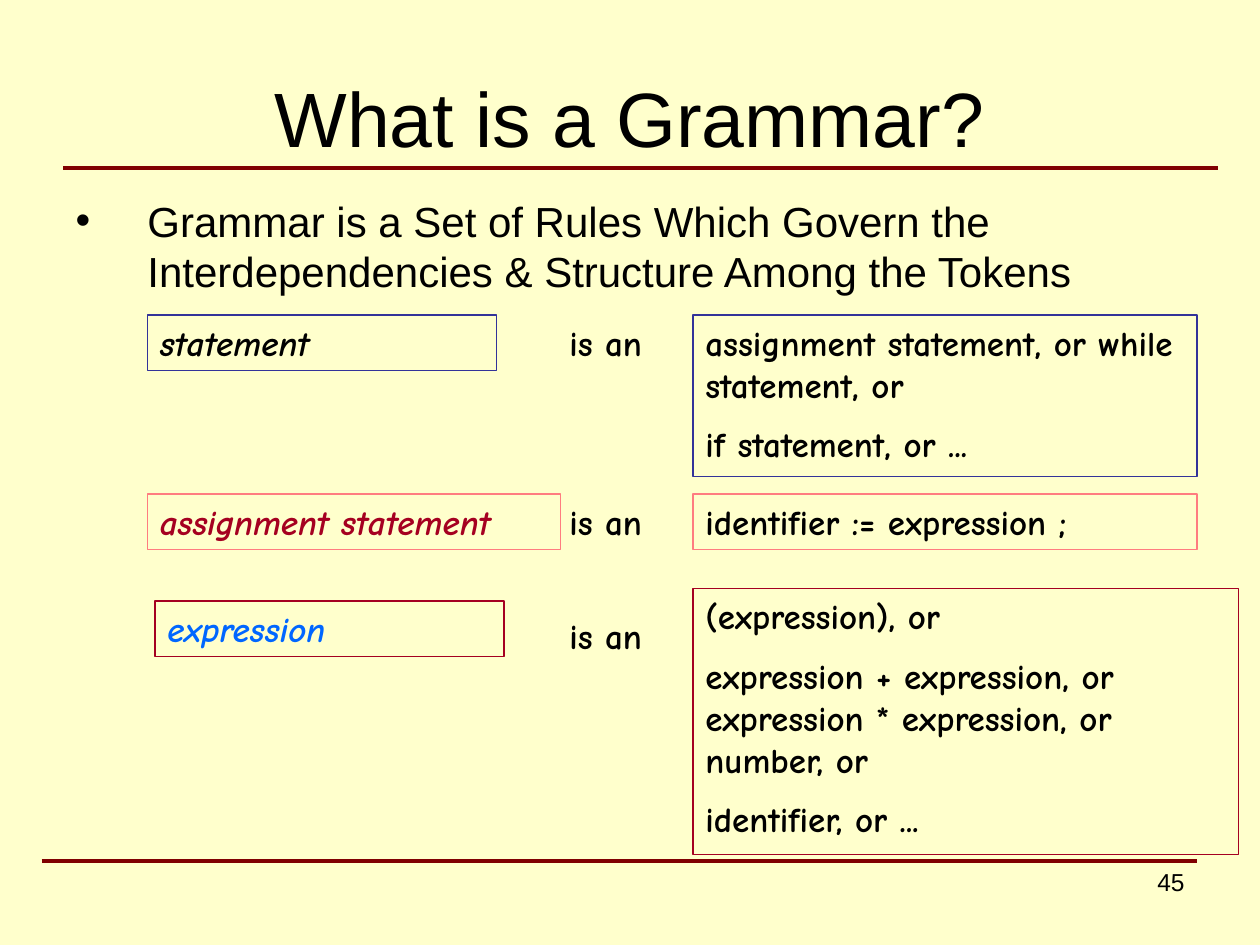
"""Build the slide that explains what a grammar is."""
from pptx import Presentation
from pptx.dml.color import RGBColor
from pptx.enum.shapes import MSO_CONNECTOR, MSO_SHAPE
from pptx.enum.text import MSO_ANCHOR, MSO_AUTO_SIZE, PP_ALIGN
from pptx.oxml.ns import qn
from pptx.util import Inches, Pt
from lxml.etree import SubElement

COLORS = {
    "paper": "FFFFCC", "text": "000000", "rule": "800000", "navy": "333399",
    "pink": "FF7C80", "crimson": "A50021", "blue": "0066FF",
}
TERM_LEFT, VERB_LEFT, MEANING_LEFT = 1.17, 4.42, 5.5
TERM_WIDTH, VERB_WIDTH, MEANING_WIDTH = 2.77, 1.13, 4
ROW_HEIGHT = 0.44


class GrammarSlide:
    heading_font = "Arial"
    rule_font = "Comic Neue"

    def __init__(self, deck):
        self.page = deck.slides.add_slide(deck.slide_layouts[1])
        fill = self.page.background.fill
        fill.solid()
        fill.fore_color.rgb = self.color("paper")

    def color(self, name):
        return RGBColor.from_string(COLORS[name])

    def set_text(self, box, lines, size, font, color="text", align=PP_ALIGN.LEFT,
                 bold=False, italic=False, gap=None):
        frame = box.text_frame
        frame.word_wrap = True
        frame.text = "\n".join(lines)
        for para in frame.paragraphs:
            para.alignment = align
            if gap is not None:
                para.space_before = Pt(gap)
            for span in para.runs:
                span.font.size = Pt(size)
                span.font.name = font
                span.font.bold = bold
                span.font.italic = italic
                span.font.color.rgb = self.color(color)

    def place(self, box, left, top, width, height):
        box.left, box.top = Inches(left), Inches(top)
        box.width, box.height = Inches(width), Inches(height)

    def title(self, text):
        box = self.page.shapes.title
        self.place(box, 0.5, 0.3, 9, 1.25)
        self.set_text(box, [text], 44, self.heading_font, align=PP_ALIGN.CENTER)
        box.text_frame.auto_size = MSO_AUTO_SIZE.NONE
        box.text_frame.vertical_anchor = MSO_ANCHOR.MIDDLE

    def body(self, text):
        box = self.page.placeholders[1]
        self.place(box, 0.5, 1.5, 9, 1.27)
        self.set_text(box, [text], 24, self.heading_font)
        box.text_frame.auto_size = MSO_AUTO_SIZE.NONE
        for para in box.text_frame.paragraphs:
            properties = para._p.get_or_add_pPr()
            properties.set("marL", str(Inches(0.57)))
            properties.set("indent", str(-Inches(0.57)))
            SubElement(properties, qn("a:buChar")).set("char", "•")

    def rule_text(self, box, lines, color="text", italic=False):
        self.set_text(box, lines, 20, self.rule_font, color, bold=True, italic=italic, gap=10)
        box.text_frame.vertical_anchor = MSO_ANCHOR.TOP
        box.text_frame.auto_size = MSO_AUTO_SIZE.SHAPE_TO_FIT_TEXT

    def frame(self, lines, left, top, width, height, border, color="text", italic=False):
        box = self.page.shapes.add_shape(
            MSO_SHAPE.RECTANGLE, Inches(left), Inches(top), Inches(width), Inches(height))
        box.shadow.inherit = False
        box.fill.background()
        box.line.color.rgb = self.color(border)
        box.line.width = Pt(0.75)
        self.rule_text(box, lines, color, italic)

    def label(self, left, top, width, height):
        return self.page.shapes.add_textbox(
            Inches(left), Inches(top), Inches(width), Inches(height))

    def verb(self, text, top):
        self.rule_text(self.label(VERB_LEFT, top, VERB_WIDTH, ROW_HEIGHT), [text])

    def number(self, text):
        box = self.label(7.17, 6.83, 2.33, 0.52)
        self.set_text(box, [text], 14, self.heading_font, align=PP_ALIGN.RIGHT)

    def line(self, left, right, top):
        line = self.page.shapes.add_connector(
            MSO_CONNECTOR.STRAIGHT, Inches(left), Inches(top), Inches(right), Inches(top))
        line.line.color.rgb = self.color("rule")
        line.line.width = Pt(2.25)
        SubElement(line._element.spPr, qn("a:effectLst"))


def main():
    deck = Presentation()
    deck.slide_width, deck.slide_height = Inches(10), Inches(7.5)
    slide = GrammarSlide(deck)
    slide.title("What is a Grammar?")
    slide.body("Grammar is a Set of Rules Which Govern the "
               "Interdependencies & Structure Among the Tokens")

    terms = [
        ("statement", TERM_LEFT, 2.5, TERM_WIDTH, "navy", "text"),
        ("assignment statement", TERM_LEFT, 3.92, 3.28, "pink", "crimson"),
        ("expression", 1.23, 4.77, TERM_WIDTH, "crimson", "blue"),
    ]
    for text, left, top, width, border, color in terms:
        slide.frame([text], left, top, width, ROW_HEIGHT, border, color, italic=True)

    for top in (2.5, 3.92, 4.83):
        slide.verb("is an", top)

    meanings = [
        (["assignment statement, or while statement, or", "if statement, or ..."],
         2.5, MEANING_WIDTH, 1.28, "navy"),
        (["identifier := expression ;"], 3.92, MEANING_WIDTH, ROW_HEIGHT, "pink"),
        (["(expression), or",
          "expression + expression, or expression * expression, or number, or",
          "identifier, or ..."], 4.67, 4.33, 2.11, "crimson"),
    ]
    for lines, top, width, height, border in meanings:
        slide.frame(lines, MEANING_LEFT, top, width, height, border)

    slide.line(0.5, 9.67, 1.33)
    slide.line(0.33, 9.5, 6.83)
    slide.number("45")
    deck.save("out.pptx")


if __name__ == "__main__":
    main()
